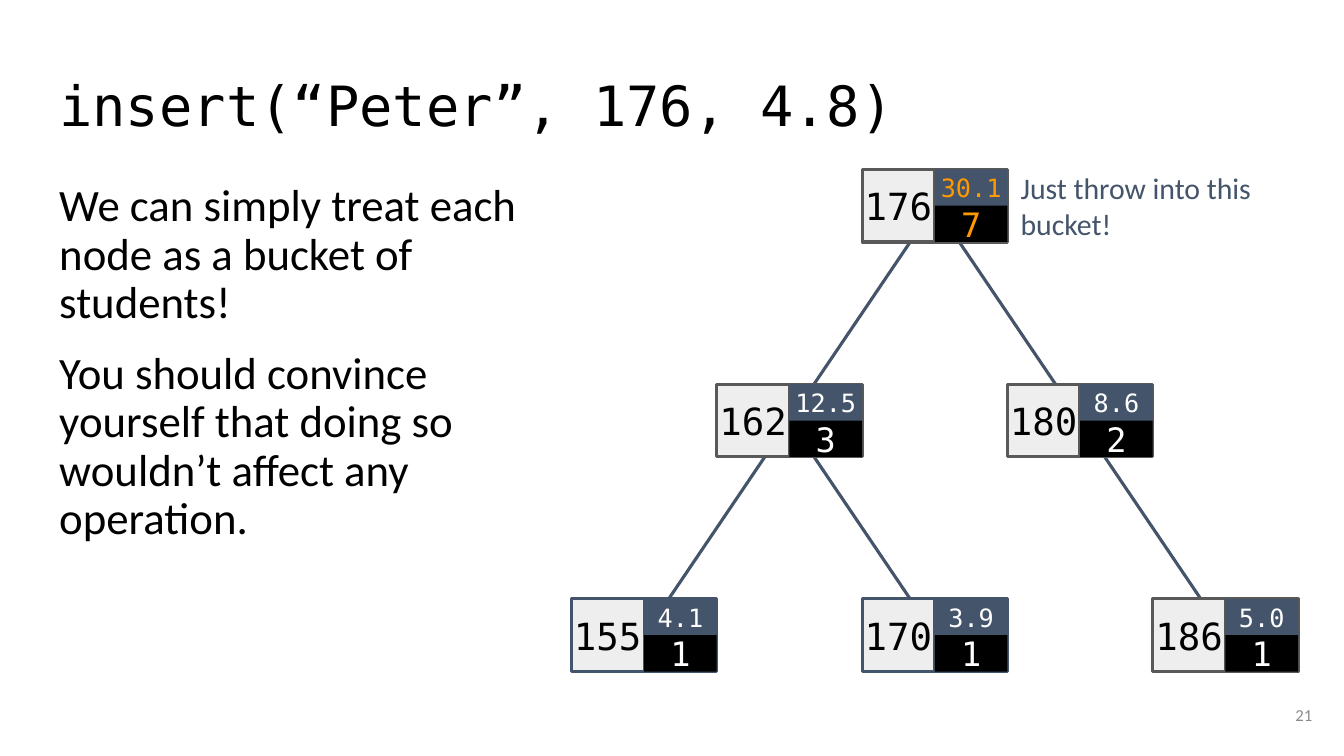
from lxml import etree
from pptx import Presentation
from pptx.dml.color import RGBColor
from pptx.enum.shapes import MSO_CONNECTOR, MSO_SHAPE
from pptx.enum.text import MSO_ANCHOR, PP_ALIGN
from pptx.oxml.ns import qn
from pptx.util import Pt

RECTANGLE = MSO_SHAPE.RECTANGLE
STRAIGHT = MSO_CONNECTOR.STRAIGHT
TOP, MIDDLE = MSO_ANCHOR.TOP, MSO_ANCHOR.MIDDLE
LEFT, CENTER, RIGHT = PP_ALIGN.LEFT, PP_ALIGN.CENTER, PP_ALIGN.RIGHT

MONO, SANS = "DejaVu Sans Mono", "Calibri"
BLACK, WHITE, SLATE, GRAY = "000000", "FFFFFF", "44546A", "595959"
PALE, ORANGE, PAGE_GRAY = "EEEEEE", "FF9900", "8C8C8C"

TITLE = "insert(“Peter”, 176, 4.8)"
BODY = [
    "We can simply treat each node as a bucket of students!",
    "You should convince yourself that doing so wouldn’t affect any operation.",
]
NOTE = "Just throw into this bucket!"
PAGE = "21"

# key: column, row, total, count, outline, number colour
NODES = {
    "186": (4, 2, "5.0", "1", GRAY, WHITE),
    "180": (3, 1, "8.6", "2", GRAY, WHITE),
    "176": (2, 0, "30.1", "7", GRAY, ORANGE),
    "162": (1, 1, "12.5", "3", GRAY, WHITE),
    "155": (0, 2, "4.1", "1", SLATE, WHITE),
    "170": (2, 2, "3.9", "1", SLATE, WHITE),
}
EDGES = [("162", "170"), ("162", "155"), ("176", "162"), ("176", "180"), ("180", "186")]

CELL = 51.9
TREE_LEFT, TREE_TOP = 408.2, 121
COLUMN_STEP, ROW_STEP = 2 * CELL, 153.4
LINE_WIDTH = 2.25
RIGHT_SIDE = 3


def color(value):
    return RGBColor.from_string(value)


def write(shape, paragraphs, size, font=SANS, fill=BLACK, align=LEFT,
          anchor=TOP, inset=9.6, line_spacing=None, gap=0):
    frame = shape.text_frame
    frame.word_wrap = True
    frame.vertical_anchor = anchor
    frame.margin_left = frame.margin_right = Pt(inset)
    frame.margin_top = frame.margin_bottom = Pt(inset)
    for index, text in enumerate(paragraphs):
        paragraph = frame.add_paragraph() if index else frame.paragraphs[0]
        paragraph.alignment = align
        if line_spacing:
            paragraph.line_spacing = line_spacing
        if index:
            paragraph.space_before = Pt(gap)
        run = paragraph.add_run()
        run.text = text
        run.font.name = font
        run.font.size = Pt(size)
        run.font.color.rgb = color(fill)


def add_text(box, paragraphs, size, **style):
    shape = slide.shapes.add_textbox(*map(Pt, box))
    write(shape, paragraphs, size, **style)


def add_cell(left, top, height, fill, outline=None, text=None, size=None, ink=BLACK):
    shape = slide.shapes.add_shape(RECTANGLE, Pt(left), Pt(top), Pt(CELL), Pt(height))
    shape.shadow.inherit = False
    shape.fill.solid()
    shape.fill.fore_color.rgb = color(fill)
    if outline:
        shape.line.color.rgb = color(outline)
        shape.line.width = Pt(LINE_WIDTH)
    else:
        shape.line.fill.background()
    if text:
        write(shape, [text], size, font=MONO, fill=ink, align=CENTER,
              anchor=MIDDLE, inset=0)
    return shape


def add_edge():
    connector = slide.shapes.add_connector(STRAIGHT, 0, 0, 0, 0)
    connector.line.color.rgb = color(SLATE)
    connector.line.width = Pt(LINE_WIDTH)
    etree.SubElement(connector._element.spPr, qn("a:effectLst"))
    return connector


def add_node(key, column, row, total, count, outline, ink):
    left = TREE_LEFT + column * COLUMN_STEP
    top = TREE_TOP + row * ROW_STEP
    middle, half = left + CELL, CELL / 2
    key_cell = add_cell(left, top, CELL, PALE, outline, key, 26.7)
    add_cell(middle, top, CELL, SLATE, outline)
    add_cell(middle, top, half, SLATE, text=total, size=18, ink=ink)
    add_cell(middle, top + half, half, BLACK, text=count, size=24, ink=ink)
    return key_cell


presentation = Presentation()
presentation.slide_width, presentation.slide_height = Pt(960), Pt(540)
slide = presentation.slides.add_slide(presentation.slide_layouts[6])

add_text((32.7, 46.7, 894.5, 60.1), [TITLE], 39.6, font=MONO, line_spacing=0.9)
add_text((889.5, 489.6, 57.6, 41.3), [PAGE], 12, fill=PAGE_GRAY,
         align=RIGHT, anchor=MIDDLE)
add_text((32.7, 121, 375.1, 358.6), BODY, 32, line_spacing=0.9, gap=16)

connectors = [add_edge() for edge in EDGES]
key_cells = {key: add_node(key, *details) for key, details in NODES.items()}
for connector, (parent, child) in zip(connectors, EDGES):
    connector.begin_connect(key_cells[parent], RIGHT_SIDE)
    connector.end_connect(key_cells[child], RIGHT_SIDE)

add_text((719.4, 120.5, 207.4, 52.6), [NOTE], 21.3, fill=SLATE, anchor=MIDDLE)

presentation.save("out.pptx")
